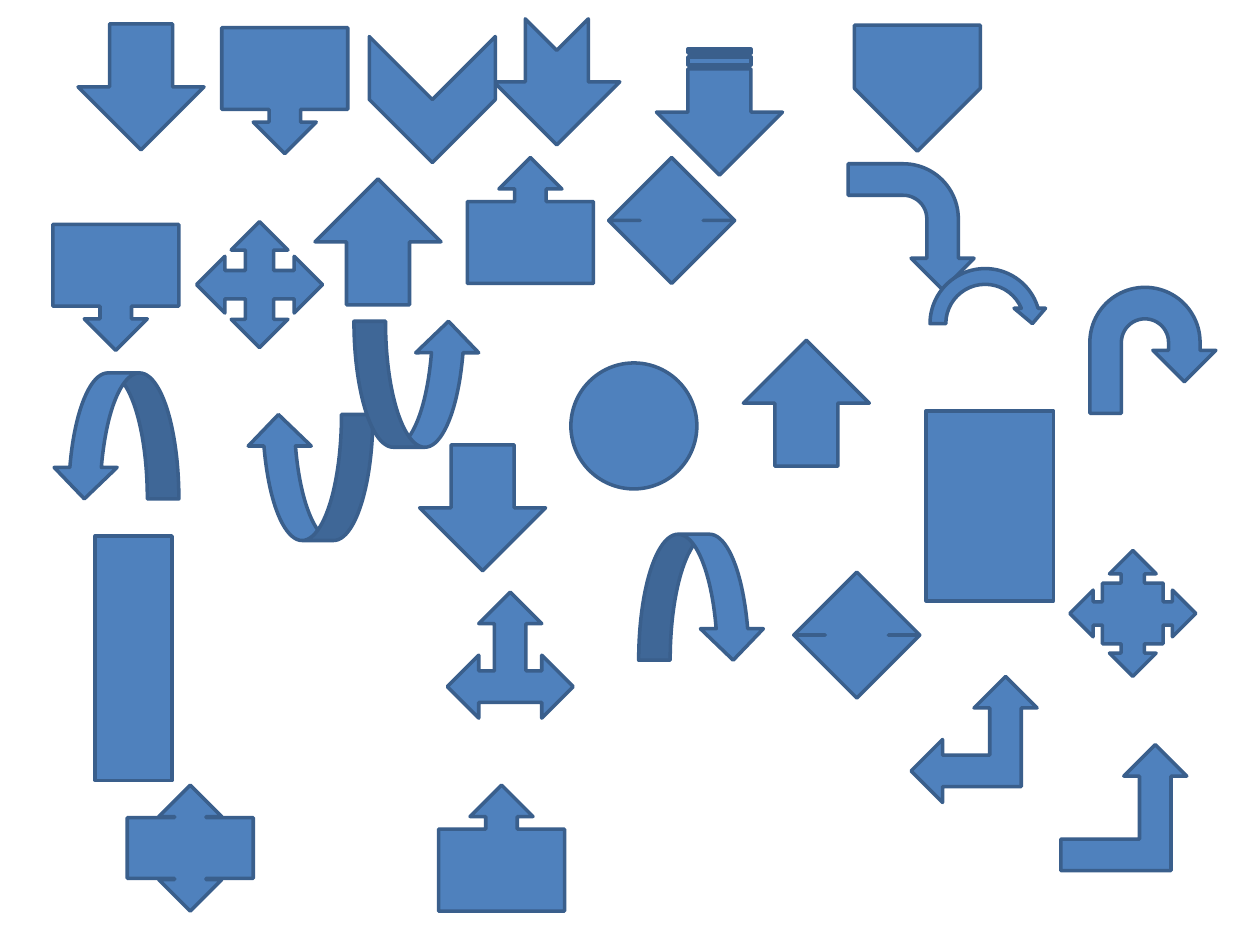
"""Build a slide that shows a collection of block arrows and basic shapes."""
from dataclasses import dataclass

from pptx import Presentation
from pptx.dml.color import RGBColor
from pptx.enum import shapes
from pptx.slide import Slide
from pptx.util import Pt

BLUE = RGBColor(0x4F, 0x81, 0xBD)
DARK_BLUE = RGBColor(0x3A, 0x5F, 0x8C)
Kind = shapes.MSO_SHAPE


@dataclass(frozen=True)
class Figure:
    kind: Kind
    left: float
    top: float
    rotation: float = 0
    width: float = 72
    height: float = 72


FIGURES = [
    Figure(Kind.RECTANGLE, 6.5, 354.2, 90, 139.7, 43.9),
    Figure(Kind.OVAL, 326.2, 207.4, 90),
    Figure(Kind.RECTANGLE, 511.2, 252.7, 90, 108.7, 72.7),
    Figure(Kind.LEFT_ARROW, 180, 102.2, 90),
    Figure(Kind.UP_ARROW, 424.8, 194.4),
    Figure(Kind.DOWN_ARROW, 239.8, 254.2),
    Figure(Kind.LEFT_RIGHT_ARROW, 347.8, 90, 90),
    Figure(Kind.UP_DOWN_ARROW, 453.6, 326.9),
    Figure(Kind.QUAD_ARROW, 112.3, 126.7, 90),
    Figure(Kind.LEFT_RIGHT_UP_ARROW, 255.6, 338.4),
    Figure(Kind.BENT_ARROW, 484.6, 93.6, 90),
    Figure(Kind.U_TURN_ARROW, 622.8, 164.2),
    Figure(Kind.LEFT_UP_ARROW, 520.6, 386.6),
    Figure(Kind.BENT_UP_ARROW, 606.2, 425.5),
    Figure(Kind.CURVED_RIGHT_ARROW, 30.2, 213.1, 90),
    Figure(Kind.CURVED_LEFT_ARROW, 141.1, 236.9, 90),
    Figure(Kind.CURVED_DOWN_ARROW, 365, 305.3),
    Figure(Kind.CURVED_UP_ARROW, 202.3, 183.6),
    Figure(Kind.STRIPED_RIGHT_ARROW, 375.1, 28.1, 90),
    Figure(Kind.NOTCHED_RIGHT_ARROW, 282.2, 10.8, 90),
    Figure(Kind.PENTAGON, 488.2, 14.4, 90),
    Figure(Kind.CHEVRON, 211, 20.9, 90),
    Figure(Kind.RIGHT_ARROW_CALLOUT, 126.7, 15.8, 90),
    Figure(Kind.DOWN_ARROW_CALLOUT, 30.2, 128.2),
    Figure(Kind.LEFT_ARROW_CALLOUT, 267.1, 90, 90),
    Figure(Kind.UP_ARROW_CALLOUT, 250.6, 448.6),
    Figure(Kind.LEFT_RIGHT_ARROW_CALLOUT, 72.7, 448.6, 90),
    Figure(Kind.QUAD_ARROW_CALLOUT, 611.3, 314.6, 90),
    Figure(Kind.CIRCULAR_ARROW, 527, 149),
    Figure(Kind.RIGHT_ARROW, 44.6, 13.7, 90),
]


def draw_figure(slide: Slide, figure: Figure) -> None:
    drawn = slide.shapes.add_shape(
        figure.kind, Pt(figure.left), Pt(figure.top), Pt(figure.width), Pt(figure.height)
    )
    drawn.rotation = figure.rotation
    drawn.shadow.inherit = False
    drawn.fill.solid()
    drawn.fill.fore_color.rgb = BLUE
    drawn.line.color.rgb = DARK_BLUE
    drawn.line.width = Pt(2)


def main() -> None:
    deck = Presentation()
    deck.slide_width, deck.slide_height = Pt(720), Pt(540)
    slide = deck.slides.add_slide(deck.slide_layouts.get_by_name("Blank"))
    for figure in FIGURES:
        draw_figure(slide, figure)
    deck.save("out.pptx")


if __name__ == "__main__":
    main()
